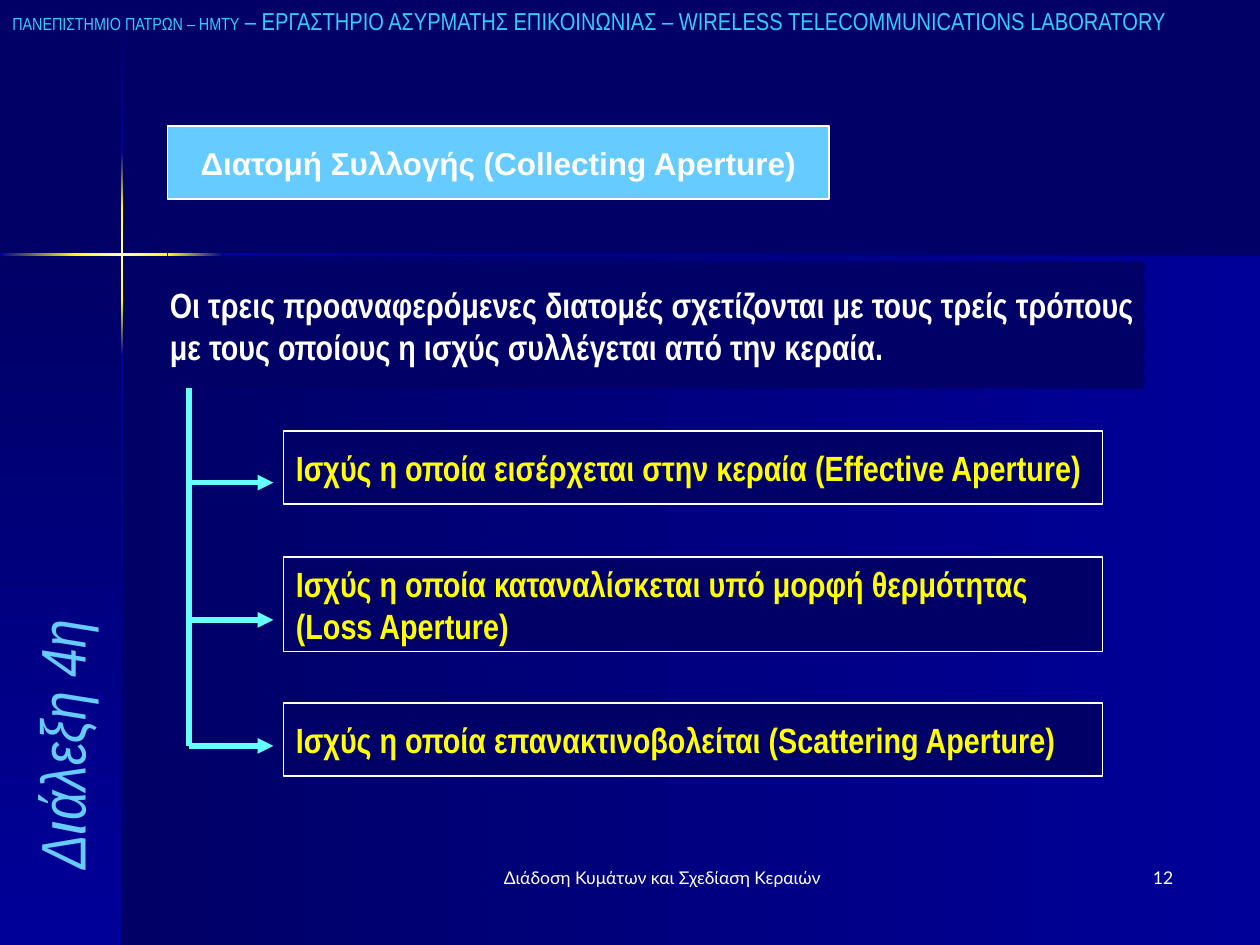
from dataclasses import dataclass

from lxml import etree
from pptx import Presentation
from pptx.dml.color import RGBColor
from pptx.enum.dml import MSO_LINE
from pptx.enum.shapes import MSO_CONNECTOR, MSO_SHAPE
from pptx.enum.text import MSO_ANCHOR, MSO_AUTO_SIZE, PP_ALIGN
from pptx.oxml.ns import qn
from pptx.util import Inches, Pt

RECT = MSO_SHAPE.RECTANGLE
STRAIGHT = MSO_CONNECTOR.STRAIGHT
DOTTED = MSO_LINE.ROUND_DOT
TOP, MIDDLE, BOTTOM = MSO_ANCHOR.TOP, MSO_ANCHOR.MIDDLE, MSO_ANCHOR.BOTTOM
LEFT, CENTER, RIGHT, JUSTIFY = PP_ALIGN.LEFT, PP_ALIGN.CENTER, PP_ALIGN.RIGHT, PP_ALIGN.JUSTIFY
NO_FIT = MSO_AUTO_SIZE.NONE


@dataclass(frozen=True)
class Theme:
    navy: str = "000066"
    blue: str = "000099"
    yellow: str = "FFFF00"
    cream: str = "FFFFCC"
    white: str = "FFFFFF"
    sky: str = "66CCFF"
    cyan: str = "66FFFF"
    header: str = "33CCFF"
    sans: str = "Arial"
    narrow: str = "Arial Narrow"
    footer: str = "Lato"
    small: int = 10
    medium: int = 14
    heading: int = 18
    body: int = 20
    large: int = 36


class SlideBuilder:
    def __init__(self, slide, theme):
        self.slide = slide
        self.theme = theme
        bg = slide.background.fill
        bg.solid()
        bg.fore_color.rgb = RGBColor.from_string(theme.navy)

    def font(self, name, size, color, **extra):
        return {"name": name, "size": Pt(size), "color": color, **extra}

    def set_text(self, sp, lines, font, align=LEFT, anchor=TOP, wrap=True, before=0):
        tf = sp.text_frame
        frame = {"auto_size": NO_FIT, "word_wrap": wrap, "vertical_anchor": anchor}
        for name, value in frame.items():
            setattr(tf, name, value)
        for i, runs in enumerate(lines):
            p = tf.add_paragraph() if i else tf.paragraphs[0]
            p.alignment = align
            p.space_before = Pt(before)
            for text, changes in runs:
                r = p.add_run()
                r.text = text
                for name, value in {**font, **changes}.items():
                    if name == "color":
                        r.font.color.rgb = RGBColor.from_string(value)
                    else:
                        setattr(r.font, name, value)

    def outline(self, sp, fill, line, dash=None):
        sp.fill.solid()
        sp.fill.fore_color.rgb = RGBColor.from_string(fill)
        sp.line.color.rgb = RGBColor.from_string(line)
        sp.line.width = Pt(0.75)
        if dash:
            sp.line.dash_style = dash

    def title(self, box, text, font):
        sp = self.slide.shapes.title
        for name, value in zip(("left", "top", "width", "height"), box):
            setattr(sp, name, Inches(value))
        self.outline(sp, self.theme.sky, self.theme.white)
        self.set_text(sp, [[(text, {})]], font, CENTER, MIDDLE, False)

    def gradient(self, box, colors, angle):
        sp = self.slide.shapes.add_shape(RECT, *map(Inches, box))
        sp.shadow.inherit = False
        sp.line.fill.background()
        sp.fill.gradient()
        sp.fill.gradient_angle = angle
        stops = sp._element.spPr.find(".//" + qn("a:gsLst"))
        stops.clear()
        for i, color in enumerate(colors):
            pos = 100000 * i // (len(colors) - 1)
            gs = etree.SubElement(stops, qn("a:gs"), pos=str(pos))
            etree.SubElement(gs, qn("a:srgbClr"), val=color)

    def box(self, box, lines, font, line, align=LEFT, dash=None):
        sp = self.slide.shapes.add_shape(RECT, *map(Inches, box))
        sp.shadow.inherit = False
        self.outline(sp, self.theme.navy, line, dash)
        self.set_text(sp, [[(text, {})] for text in lines], font, align, MIDDLE, False)

    def line(self, start, end, arrow=False):
        c = self.slide.shapes.add_connector(STRAIGHT, *map(Inches, start + end))
        c.line.color.rgb = RGBColor.from_string(self.theme.cyan)
        c.line.width = Pt(3)
        if arrow:
            etree.SubElement(c.get_or_add_ln(), qn("a:tailEnd"), type="triangle")
        etree.SubElement(c._element.spPr, qn("a:effectLst"))

    def text(self, box, runs, font, rotation=0, **layout):
        sp = self.slide.shapes.add_textbox(*map(Inches, box))
        sp.rotation = rotation
        self.set_text(sp, [runs], font, **layout)


def main():
    prs = Presentation()
    prs.slide_width, prs.slide_height = Inches(10), Inches(7.5)
    t = Theme()
    s = SlideBuilder(prs.slides.add_slide(prs.slide_layouts[5]), t)

    s.gradient((0.97, 2.02, 9.03, 5.48), (t.blue, t.navy), 180)
    s.gradient((0, 2.02, 0.97, 5.48), (t.navy, t.blue), 270)

    glow = (t.yellow, t.cream, t.yellow)
    vertical = [
        (0.01, 1.21, (t.navy, t.blue)),
        (1.21, 1.65, (t.blue, t.yellow)),
        (1.65, 2.38, glow),
        (2.38, 2.82, (t.yellow, t.blue)),
        (2.82, 7.5, (t.blue, t.navy)),
    ]
    for top, bottom, colors in vertical:
        s.gradient((0.96, top, 0.02, bottom - top), colors, 270)
    horizontal = [
        (0, 0.61, (t.yellow, t.blue)),
        (0.6, 1.33, glow),
        (1.33, 1.77, (t.blue, t.yellow)),
        (1.77, 10, (t.navy, t.blue)),
    ]
    for left, right, colors in horizontal:
        s.gradient((left, 2.01, right - left, 0.02), colors, 180)

    s.title((1.33, 1, 5.25, 0.58), "Διατομή Συλλογής (Collecting Aperture)",
            s.font(t.sans, t.heading, t.white, bold=True))
    intro = ["Οι τρεις προαναφερόμενες διατομές σχετίζονται με τους τρείς τρόπους",
             "με τους οποίους η ισχύς συλλέγεται από την κεραία."]
    s.box((1.25, 2.08, 7.83, 1), intro,
          s.font(t.narrow, t.body, t.white, bold=True), t.navy, dash=DOTTED)

    apertures = [
        (3.42, 0.58, 3.83, LEFT, ["Ισχύς η οποία εισέρχεται στην κεραία (Effective Aperture)"]),
        (4.42, 0.75, 4.92, JUSTIFY, ["Ισχύς η οποία καταναλίσκεται υπό μορφή θερμότητας",
                                     "(Loss Aperture)"]),
        (5.58, 0.58, 5.92, LEFT, ["Ισχύς η οποία επανακτινοβολείται (Scattering Aperture)"]),
    ]
    trunk = 1.5
    s.line((trunk, 3.08), (trunk, apertures[-1][2]))
    aperture_font = s.font(t.narrow, t.body, t.yellow, bold=True)
    for top, height, arrow_y, align, lines in apertures:
        s.box((2.25, top, 6.5, height), lines, aperture_font, t.white, align)
        s.line((trunk, arrow_y), (2.17, arrow_y), arrow=True)

    s.text((0, 0, 11.17, 0.33),
           [("ΠΑΝΕΠΙΣΤΗΜΙΟ ΠΑΤΡΩΝ – ΗΜΤΥ", {}),
            (" – ΕΡΓΑΣΤΗΡΙΟ ΑΣΥΡΜΑΤΗΣ ΕΠΙΚΟΙΝΩΝΙΑΣ – WIRELESS TELECOMMUNICATIONS LABORATORY",
             {"size": Pt(t.medium)})],
           s.font(t.narrow, t.small, t.header), before=3.5)
    s.text((-1.42, 4.75, 3.83, 0.67), [("Διάλεξη 4η", {})],
           s.font(t.narrow, t.large, t.sky, italic=True), rotation=270, anchor=BOTTOM)
    footer_font = s.font(t.footer, t.small, t.white)
    s.text((3.67, 6.83, 3.17, 0.5), [("Διάδοση Κυμάτων και Σχεδίαση Κεραιών", {})],
           footer_font, align=CENTER)
    s.text((7.33, 6.83, 2.08, 0.5), [("12", {})], footer_font, align=RIGHT)

    prs.save("out.pptx")


if __name__ == "__main__":
    main()
